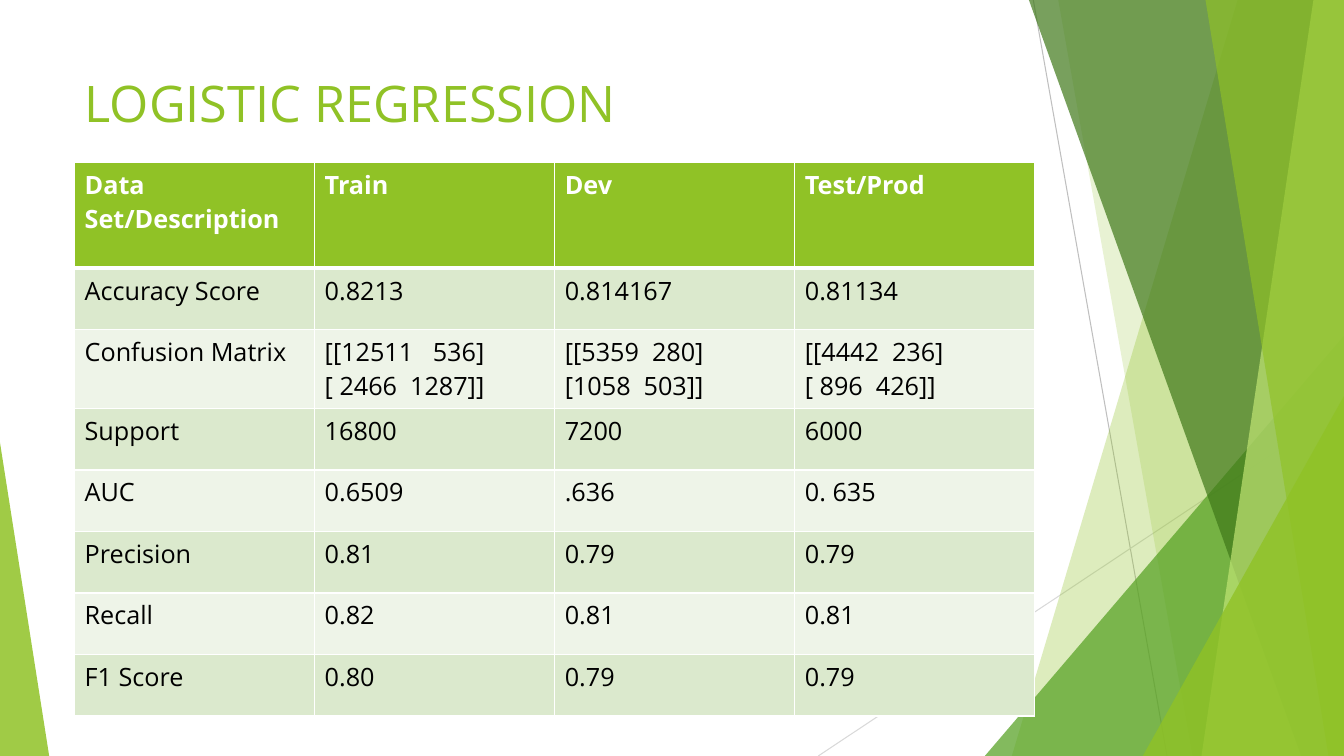
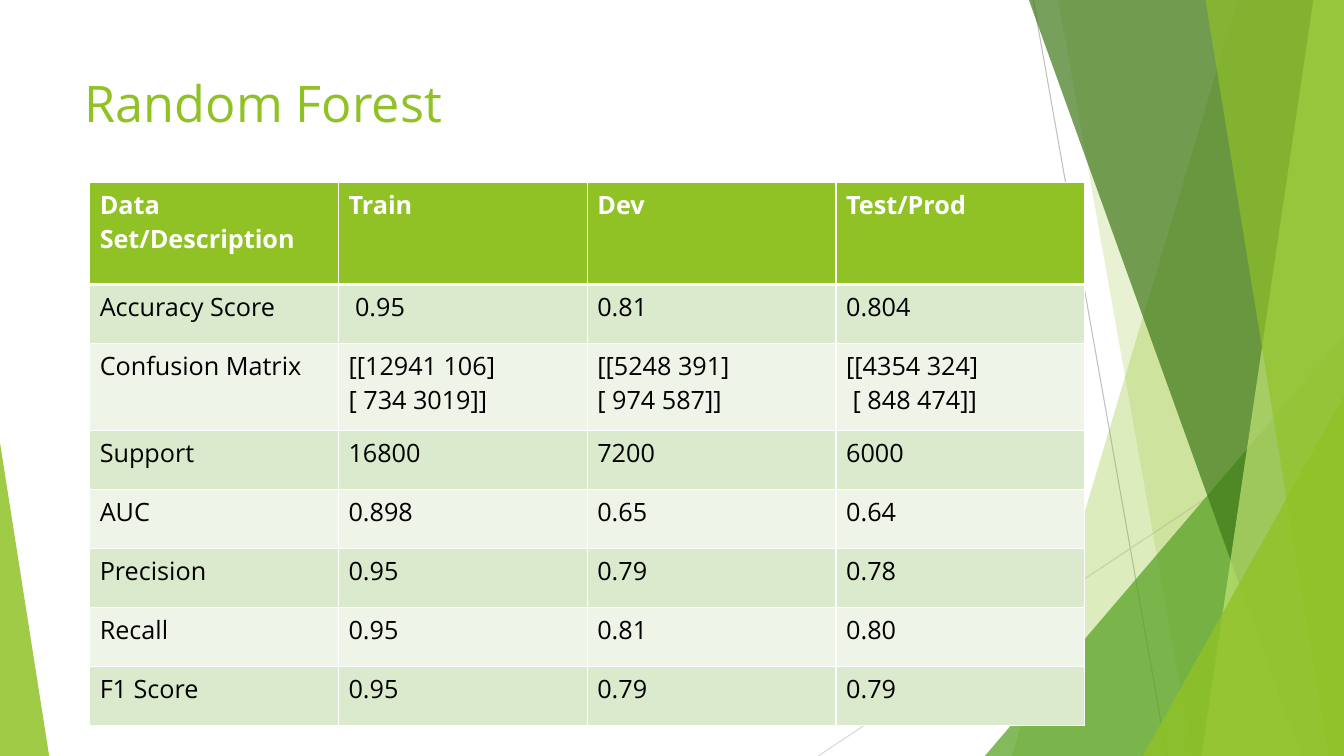
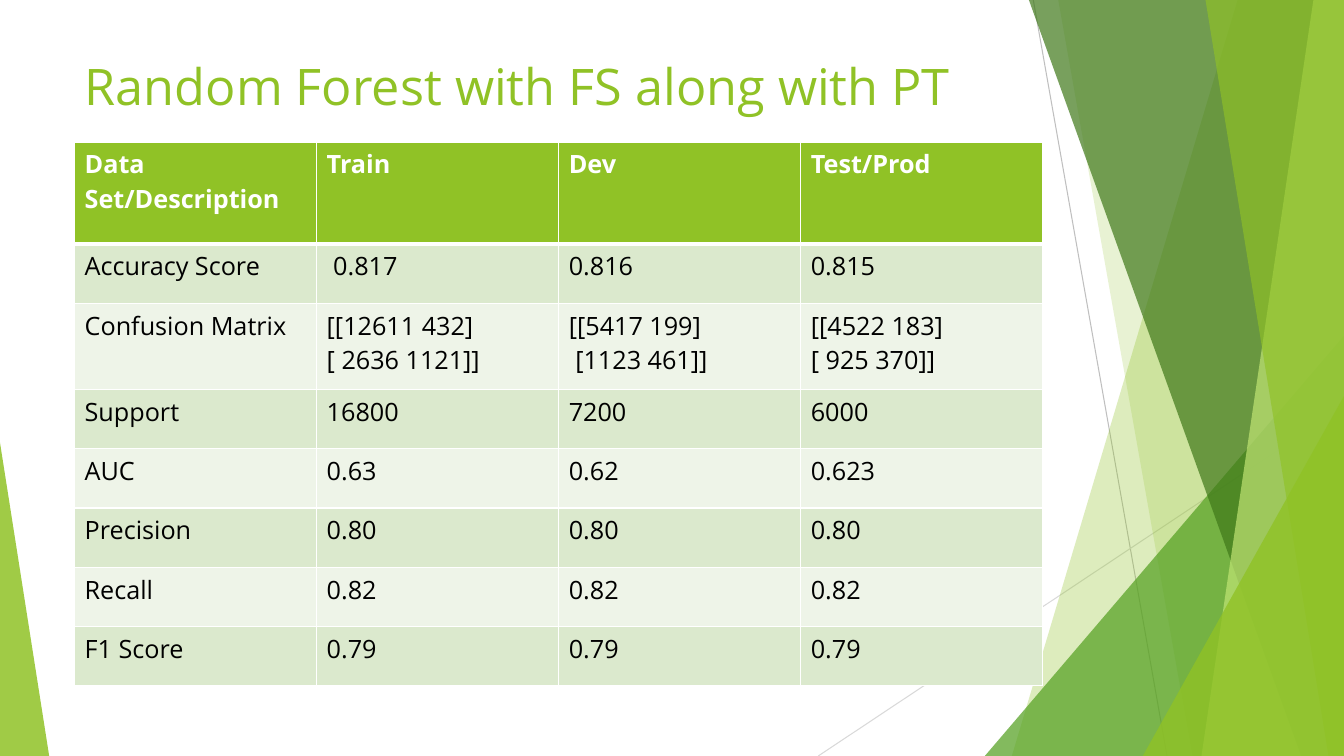
"""Build three slides of classifier results on a shared green faceted backdrop."""
from lxml.etree import SubElement
from pptx import Presentation
from pptx.dml.color import RGBColor
from pptx.enum.shapes import MSO_CONNECTOR, MSO_SHAPE
from pptx.enum.text import MSO_ANCHOR, MSO_AUTO_SIZE, PP_ALIGN
from pptx.oxml.ns import qn
from pptx.util import Cm, Pt

FONT = "Open Sans"
COLORS = {
    "lime": "90C226", "green": "54A021", "forest": "3F7819", "pale": "C0E474",
    "band_dark": "DBE9CD", "band_light": "EEF4E8", "white": "FFFFFF",
    "black": "000000", "line_dark": "BFBFBF", "line_light": "D9D9D9",
}
SLIDE_WIDTH, SLIDE_HEIGHT = 33.87, 19.05
HEADER = ["Data Set/Description", "Train", "Dev", "Test/Prod"]
METRICS = ["Accuracy Score", "Confusion Matrix", "Support", "AUC",
           "Precision", "Recall", "F1 Score"]
SUPPORT = ["16800", "7200", "6000"]
RESULTS = [
    {
        "title": "LOGISTIC REGRESSION", "title_top": 1.7, "title_height": 3.66,
        "left": 1.88, "top": 4.09, "column": 6.05,
        "header_row": 2.67, "row": 1.55, "matrix_row": 1.55,
        "scores": [
            ["0.8213", "0.814167", "0.81134"],
            ["[[12511   536][ 2466  1287]]", "[[5359  280]\n[1058  503]]",
             "[[4442  236]\n[ 896  426]]"],
            SUPPORT,
            ["0.6509", ".636", "0. 635"],
            ["0.81", "0.79", "0.79"],
            ["0.82", "0.81", "0.81"],
            ["0.80", "0.79", "0.79"],
        ],
    },
    {
        "title": "Random Forest", "title_top": 1.7, "title_height": 2.24,
        "left": 2.26, "top": 4.6, "column": 6.27,
        "header_row": 2.57, "row": 1.49, "matrix_row": 2.18,
        "scores": [
            [" 0.95", "0.81", "0.804"],
            ["[[12941 106]\n[ 734 3019]]", "[[5248 391]\n[ 974 587]]",
             "[[4354 324]\n [ 848 474]]"],
            SUPPORT,
            ["0.898", "0.65", "0.64"],
            ["0.95", "0.79", "0.78"],
            ["0.95", "0.81", "0.80"],
            ["0.95", "0.79", "0.79"],
        ],
    },
    {
        "title": "Random Forest with FS along with PT",
        "title_top": 1.27, "title_height": 2.31,
        "left": 1.88, "top": 3.58, "column": 6.1,
        "header_row": 2.57, "row": 1.49, "matrix_row": 2.18,
        "scores": [
            [" 0.817", "0.816", "0.815"],
            ["[[12611 432]\n[ 2636 1121]]", "[[5417 199]\n [1123 461]]",
             "[[4522 183]\n[ 925 370]]"],
            SUPPORT,
            ["0.63", "0.62", "0.623"],
            ["0.80", "0.80", "0.80"],
            ["0.82", "0.82", "0.82"],
            ["0.79", "0.79", "0.79"],
        ],
    },
]


def rgb(color):
    """Return the named colour."""
    return RGBColor.from_string(COLORS[color])


def style_text(text_frame, size, color, bold=False):
    """Format every run of a text frame."""
    for paragraph in text_frame.paragraphs:
        paragraph.alignment = PP_ALIGN.LEFT
        for run in paragraph.runs:
            run.font.name = FONT
            run.font.size = Pt(size)
            run.font.bold = bold
            run.font.color.rgb = rgb(color)


def paint(facet, color, opacity):
    """Give a facet a translucent fill without outline or shadow."""
    facet.shadow.inherit = False
    facet.line.fill.background()
    facet.fill.solid()
    facet.fill.fore_color.rgb = rgb(color)
    tint = facet.element.xpath("./p:spPr/a:solidFill/a:srgbClr")[0]
    SubElement(tint, qn("a:alpha")).set("val", str(opacity * 1000))
    return facet


def add_ray(shapes, start, end, color):
    """Draw a thin straight line."""
    ray = shapes.add_connector(MSO_CONNECTOR.STRAIGHT,
                               *(Cm(value) for value in start + end))
    ray.line.color.rgb = rgb(color)
    ray.line.width = Pt(0.75)
    SubElement(ray.element.spPr, qn("a:effectLst"))
    return ray


def add_facet(shapes, top_left, bottom_left, color, opacity):
    """Draw a full-height facet that ends at the right slide edge."""
    outline = shapes.build_freeform(Cm(top_left), 0)
    outline.add_line_segments([
        (Cm(SLIDE_WIDTH), 0), (Cm(SLIDE_WIDTH), Cm(SLIDE_HEIGHT)),
        (Cm(bottom_left), Cm(SLIDE_HEIGHT))])
    return paint(outline.convert_to_shape(), color, opacity)


def add_corner(shapes, left, top, width, apex, color, opacity):
    """Draw a right triangle that stands on the bottom slide edge."""
    corner = shapes.add_shape(MSO_SHAPE.ISOSCELES_TRIANGLE, Cm(left), Cm(top),
                              Cm(width), Cm(SLIDE_HEIGHT - top))
    corner.adjustments[0] = apex
    return paint(corner, color, opacity)


def add_backdrop(layout, shapes):
    """Draw the backdrop and move it behind the layout's placeholders."""
    backdrop = [
        add_ray(shapes, (26.04, 0), (29.41, SLIDE_HEIGHT), "line_dark"),
        add_ray(shapes, (SLIDE_WIDTH, 10.24), (20.62, SLIDE_HEIGHT), "line_light"),
        add_facet(shapes, 31.19, 25.5, "lime", 30),
        add_facet(shapes, 26.67, 30.05, "lime", 20),
        add_corner(shapes, 24.82, 8.46, 9.05, 1, "green", 72),
        add_facet(shapes, 25.93, 32.79, "forest", 70),
        add_facet(shapes, 33.1, 30.28, "pale", 70),
        add_facet(shapes, 30.38, 33.48, "lime", 65),
        add_corner(shapes, 28.8, 9.98, 5.07, 1, "lime", 80),
        add_corner(shapes, 0, 11.15, 1.24, 0, "lime", 85),
    ]
    for position, part in enumerate(backdrop):
        part.element.xpath(".//p:cNvPr")[0].set("id", str(100 + position))
        layout.shapes.element.insert(2 + position, part.element)


def set_title(slide, result):
    """Place and format the title."""
    title = slide.shapes.title
    title.left, title.top = Cm(1.88), Cm(result["title_top"])
    title.width, title.height = Cm(23.88), Cm(result["title_height"])
    title.text_frame.text = result["title"]
    title.text_frame.auto_size = MSO_AUTO_SIZE.NONE
    title.text_frame.vertical_anchor = MSO_ANCHOR.TOP
    style_text(title.text_frame, 36, "lime")


def set_borders(cell, top, bottom):
    """Give a cell white borders, with top and bottom widths in points."""
    properties = cell._tc.get_or_add_tcPr()
    for side, width in (("L", 1), ("R", 1), ("T", top), ("B", bottom)):
        border = SubElement(properties, qn(f"a:ln{side}"), w=str(Pt(width)))
        fill = SubElement(border, qn("a:solidFill"))
        SubElement(fill, qn("a:srgbClr"), val=COLORS["white"])


def add_scores(slide, result):
    """Add the table of scores per data set."""
    lines = [HEADER] + [[metric] + scores for metric, scores
                        in zip(METRICS, result["scores"])]
    heights = [result["header_row"]] + [
        result["matrix_row" if metric == "Confusion Matrix" else "row"]
        for metric in METRICS]
    table = slide.shapes.add_table(
        len(lines), len(HEADER), Cm(result["left"]), Cm(result["top"]),
        Cm(result["column"] * len(HEADER)), Cm(sum(heights))).table
    table.horz_banding = False
    for column in table.columns:
        column.width = Cm(result["column"])
    for index, (line, height) in enumerate(zip(lines, heights)):
        table.rows[index].height = Cm(height)
        is_header = index == 0
        band = "lime" if is_header else ("band_light", "band_dark")[index % 2]
        for cell, text in zip(table.rows[index].cells, line):
            set_borders(cell, 3 if index == 1 else 1, 3 if is_header else 1)
            cell.fill.solid()
            cell.fill.fore_color.rgb = rgb(band)
            cell.text_frame.text = text
            style_text(cell.text_frame, 18, "white" if is_header else "black",
                       is_header)


def main():
    """Build and save the presentation."""
    presentation = Presentation()
    presentation.slide_width = Cm(SLIDE_WIDTH)
    presentation.slide_height = Cm(SLIDE_HEIGHT)
    title_only = presentation.slide_layouts[5]
    slides = [presentation.slides.add_slide(title_only) for _ in RESULTS]
    add_backdrop(title_only, slides[0].shapes)
    for slide, result in zip(slides, RESULTS):
        set_title(slide, result)
        add_scores(slide, result)
    presentation.save("out.pptx")


main()
